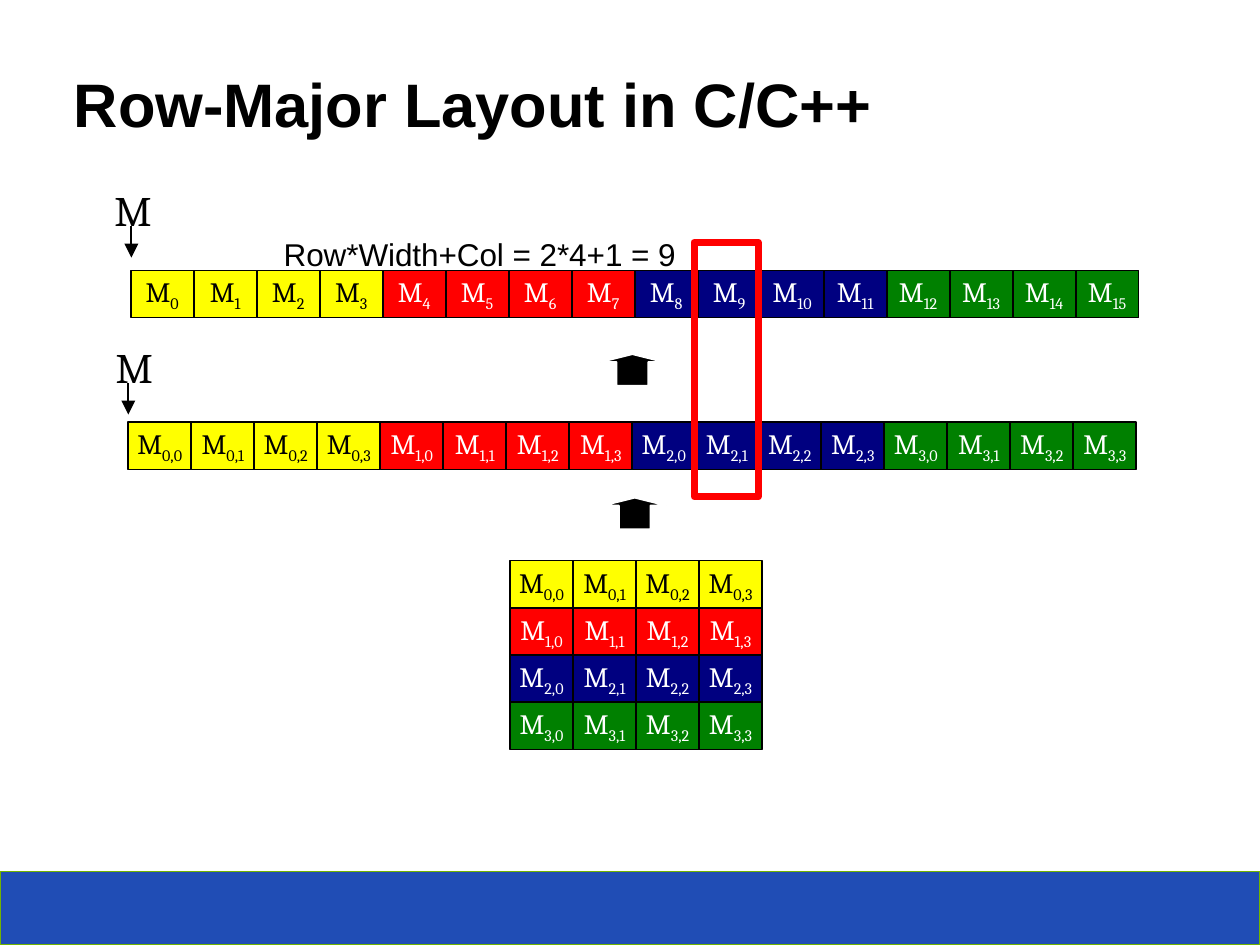
import pptx
import pptx.util
from lxml import etree
from pptx.dml.color import RGBColor
from pptx.enum.shapes import MSO_CONNECTOR, MSO_SHAPE
from pptx.enum.text import MSO_ANCHOR, PP_ALIGN
from pptx.oxml.ns import qn

Pt = pptx.util.Pt

COLORS = {
    "black": "000000",
    "white": "FFFFFF",
    "yellow": "FFFF00",
    "red": "FF0000",
    "navy": "000080",
    "green": "008000",
    "band": "204DB5",
    "band_edge": "72B400",
}
ROW_FILLS = ["yellow", "red", "navy", "green"]
WIDTH = 4
CELL_W, CELL_H = 27, 20.25


def color(name):
    return RGBColor.from_string(COLORS[name])


def write(frame, text, sub="", size=12, font="Cambria", ink="black", bold=False,
          align=PP_ALIGN.LEFT, anchor=MSO_ANCHOR.TOP, wrap=False):
    """Put text, with an optional subscript, into a text frame."""
    frame.word_wrap = wrap
    frame.vertical_anchor = anchor
    paragraph = frame.paragraphs[0]
    paragraph.alignment = align
    for part, baseline in ((text, None), (sub, "-25000")):
        if not part:
            continue
        run = paragraph.add_run()
        run.text = part
        run.font.size = Pt(size)
        run.font.name = font
        run.font.bold = bold
        run.font.color.rgb = color(ink)
        if baseline:
            run.font._element.set("baseline", baseline)


def add_block(slide, kind, box, fill, line, line_width=0.75):
    block = slide.shapes.add_shape(kind, *map(Pt, box))
    block.shadow.inherit = False
    if fill:
        block.fill.solid()
        block.fill.fore_color.rgb = color(fill)
    else:
        block.fill.background()
    block.line.color.rgb = color(line)
    block.line.width = Pt(line_width)
    return block


def add_element(slide, left, top, index, row):
    """Add one matrix element, coloured by the matrix row it belongs to."""
    cell = add_block(slide, MSO_SHAPE.RECTANGLE, (left, top, CELL_W, CELL_H),
                     ROW_FILLS[row], "black")
    write(cell.text_frame, "M", sub=index, ink="white" if row else "black",
          align=PP_ALIGN.CENTER, anchor=MSO_ANCHOR.MIDDLE)


def add_label(slide, box, text, **style):
    label = slide.shapes.add_textbox(*map(Pt, box))
    write(label.text_frame, text, **style)


def add_pointer(slide, x, top, bottom):
    pointer = slide.shapes.add_connector(
        MSO_CONNECTOR.STRAIGHT, Pt(x), Pt(top), Pt(x), Pt(bottom))
    pointer.line.color.rgb = color("black")
    pointer.line.width = Pt(0.75)
    etree.SubElement(pointer.line._get_or_add_ln(), qn("a:tailEnd"), type="triangle")
    etree.SubElement(pointer._element.spPr, qn("a:effectLst"))


def add_up_arrow(slide, left, top):
    arrow = add_block(slide, MSO_SHAPE.DOWN_ARROW, (left, top, 27, 13.5), "black", "white")
    arrow.rotation = 180
    arrow.adjustments[0] = 0.5
    arrow.adjustments[1] = 0.25


def add_title(slide, text):
    title = slide.shapes.title
    title.left, title.top, title.width, title.height = map(Pt, (24.5, 23, 491, 34.5))
    title.text_frame.margin_top = Pt(5.5)
    write(title.text_frame, text, size=26.3, font="Arial", bold=True, wrap=True)


def main():
    deck = pptx.Presentation()
    deck.slide_width, deck.slide_height = Pt(540), Pt(405)
    slide = deck.slides.add_slide(deck.slide_layouts[5])

    add_block(slide, MSO_SHAPE.RECTANGLE, (0, 373.5, 540, 31.5), "band", "band_edge")
    add_title(slide, "Row-Major Layout in C/C++")

    add_label(slide, (114.5, 97.2, 188.6, 23.8), "Row*Width+Col = 2*4+1 = 9",
              size=13.5, font="Arial")
    for position in range(WIDTH * WIDTH):
        row, col = divmod(position, WIDTH)
        pair = f"{row},{col}"
        add_element(slide, 56 + position * CELL_W, 115.9, str(position), row)
        add_element(slide, 55 + position * CELL_W, 181, pair, row)
        add_element(slide, 218.6 + col * CELL_W, 240.3 + row * CELL_H, pair, row)

    add_pointer(slide, 56.3, 97, 110.4)
    add_label(slide, (42, 75.6, 31.7, 28.8), "M", size=18)
    add_pointer(slide, 55, 164.2, 177.7)
    add_label(slide, (42.5, 142.8, 49, 28.8), "M", size=18, wrap=True)

    add_up_arrow(slide, 257.5, 151.8)
    add_up_arrow(slide, 258.5, 213.3)
    add_block(slide, MSO_SHAPE.RECTANGLE, (297.5, 103.8, 27.5, 109.2), None, "red", 3)

    deck.save("out.pptx")


if __name__ == "__main__":
    main()
